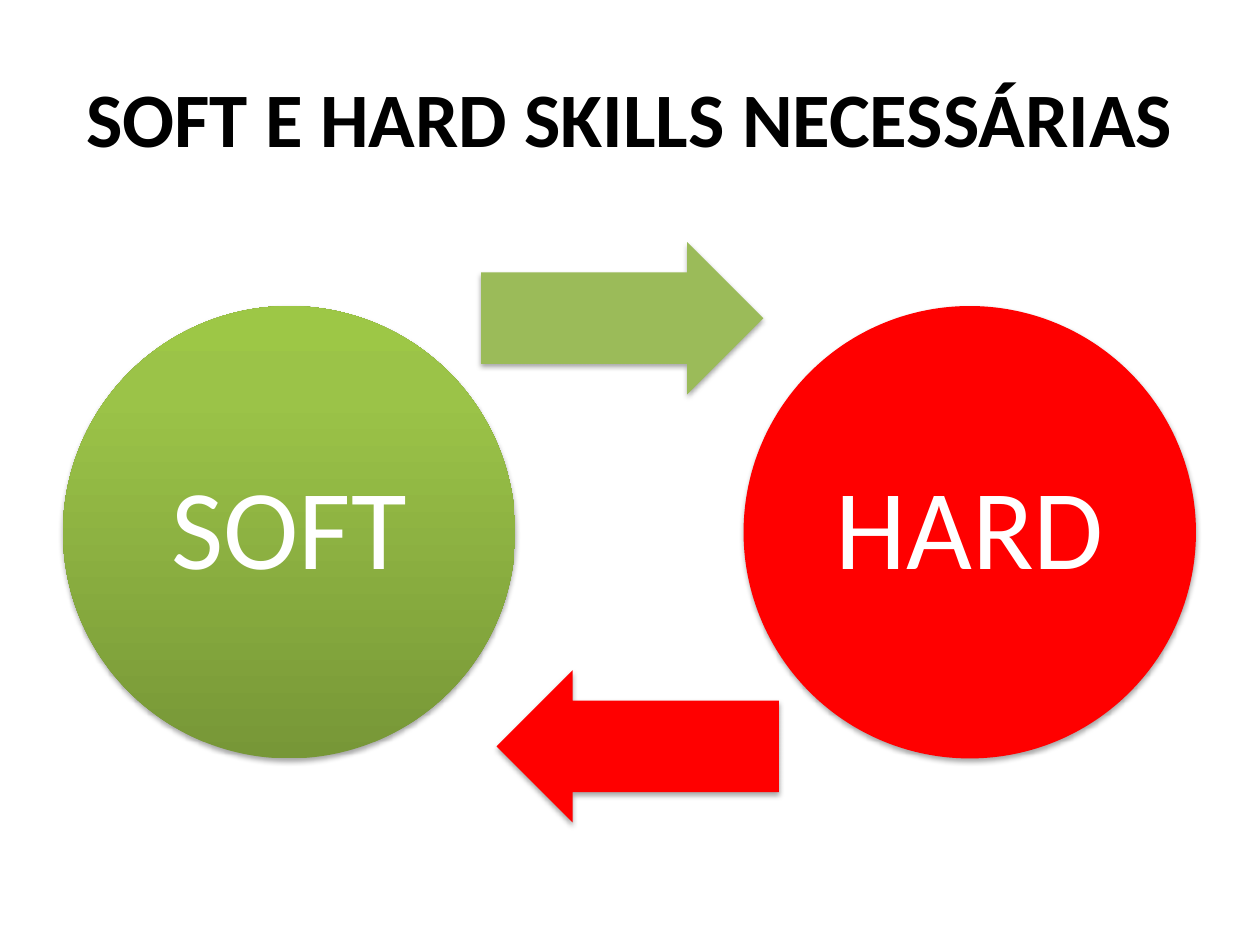
from dataclasses import dataclass
from typing import Optional

from lxml.etree import SubElement
from pptx import Presentation
from pptx.dml.color import RGBColor as RGB
from pptx.enum.shapes import MSO_SHAPE as Shape
from pptx.enum.text import MSO_ANCHOR as Anchor, PP_ALIGN as Align
from pptx.oxml.ns import qn
from pptx.util import Cm, Pt


@dataclass(frozen=True)
class Theme:
    font: str = "Calibri"
    black: str = "000000"
    white: str = "FFFFFF"
    green: str = "9BBB59"
    red: str = "FF0000"
    # Gradient stops in percent, from the bottom up
    green_fade: tuple = ((0, "779737"), (80, "9BC348"), (100, "9DC746"))
    title_size: int = 44
    label_size: int = 65


@dataclass(frozen=True)
class Circle:
    label: str
    left: float
    color: Optional[str] = None  # None takes the green gradient


@dataclass(frozen=True)
class Arrow:
    left: float
    top: float
    color: str
    rotation: int = 0


THEME = Theme()
CIRCLE_TOP, DIAMETER = 6.17, 9.12
ARROW_W, ARROW_H = 5.69, 3.07
CIRCLES = (Circle("SOFT", 1.27), Circle("HARD", 14.99, THEME.red))
ARROWS = (Arrow(9.7, 4.88, THEME.green), Arrow(10.01, 13.51, THEME.red, 180))


def add_run(tf, text: str, size: int, color: str, bold: bool = False) -> None:
    p = tf.paragraphs[0]
    p.alignment = Align.CENTER
    r = p.add_run()
    r.text = text
    r.font.name, r.font.size, r.font.bold = THEME.font, Pt(size), bold
    r.font.color.rgb = RGB.from_string(color)


def add_color(parent, color: str):
    return SubElement(parent, qn("a:srgbClr"), val=color)


def fill_gradient(sp) -> None:
    sp.fill.gradient()
    sp.fill.gradient_angle = 90
    stops = sp._element.spPr.find(qn("a:gradFill")).find(qn("a:gsLst"))
    for stop in list(stops):
        stops.remove(stop)
    for percent, color in THEME.green_fade:
        add_color(SubElement(stops, qn("a:gs"), pos=str(percent * 1000)), color)


def add_shadow(sp) -> None:
    sp.shadow.inherit = False
    effects = sp._element.spPr.find(qn("a:effectLst"))
    shadow = SubElement(effects, qn("a:outerShdw"), blurRad=str(Pt(3.1)),
                        dist=str(Pt(1.8)), dir="5400000", rotWithShape="0")
    SubElement(add_color(shadow, THEME.black), qn("a:alpha"), val="35000")


def add_body(shapes, kind: Shape, left: float, top: float, width: float,
             height: float, color: Optional[str]):
    sp = shapes.add_shape(kind, Cm(left), Cm(top), Cm(width), Cm(height))
    if color:
        sp.fill.solid()
        sp.fill.fore_color.rgb = RGB.from_string(color)
    else:
        fill_gradient(sp)
    sp.line.fill.background()
    add_shadow(sp)
    return sp


def add_circle(shapes, circle: Circle) -> None:
    sp = add_body(shapes, Shape.OVAL, circle.left, CIRCLE_TOP, DIAMETER,
                  DIAMETER, circle.color)
    tf = sp.text_frame
    tf.word_wrap, tf.vertical_anchor = True, Anchor.MIDDLE
    tf.margin_left = tf.margin_right = Cm(0.23)
    tf.margin_top = tf.margin_bottom = Cm(0.23)
    tf.paragraphs[0].line_spacing = 0.9
    add_run(tf, circle.label, THEME.label_size, THEME.white)


def add_arrow(shapes, arrow: Arrow) -> None:
    sp = add_body(shapes, Shape.RIGHT_ARROW, arrow.left, arrow.top, ARROW_W,
                  ARROW_H, arrow.color)
    sp.adjustments[0], sp.adjustments[1] = 0.6, 0.5
    sp.rotation = arrow.rotation


def main() -> None:
    prs = Presentation()
    prs.slide_width, prs.slide_height = Cm(25.4), Cm(19.05)
    s = prs.slides.add_slide(prs.slide_layouts[5])

    # Title
    title = s.shapes.title
    title.left, title.top = Cm(1.27), Cm(0.76)
    title.width, title.height = Cm(22.86), Cm(3.18)
    title.text_frame.vertical_anchor = Anchor.MIDDLE
    add_run(title.text_frame, "SOFT E HARD SKILLS NECESSÁRIAS",
            THEME.title_size, THEME.black, bold=True)

    # Cycle: each circle is followed by the arrow that leaves it
    cycle = s.shapes.add_group_shape().shapes
    for circle, arrow in zip(CIRCLES, ARROWS):
        add_circle(cycle, circle)
        add_arrow(cycle, arrow)

    prs.save("out.pptx")


if __name__ == "__main__":
    main()
